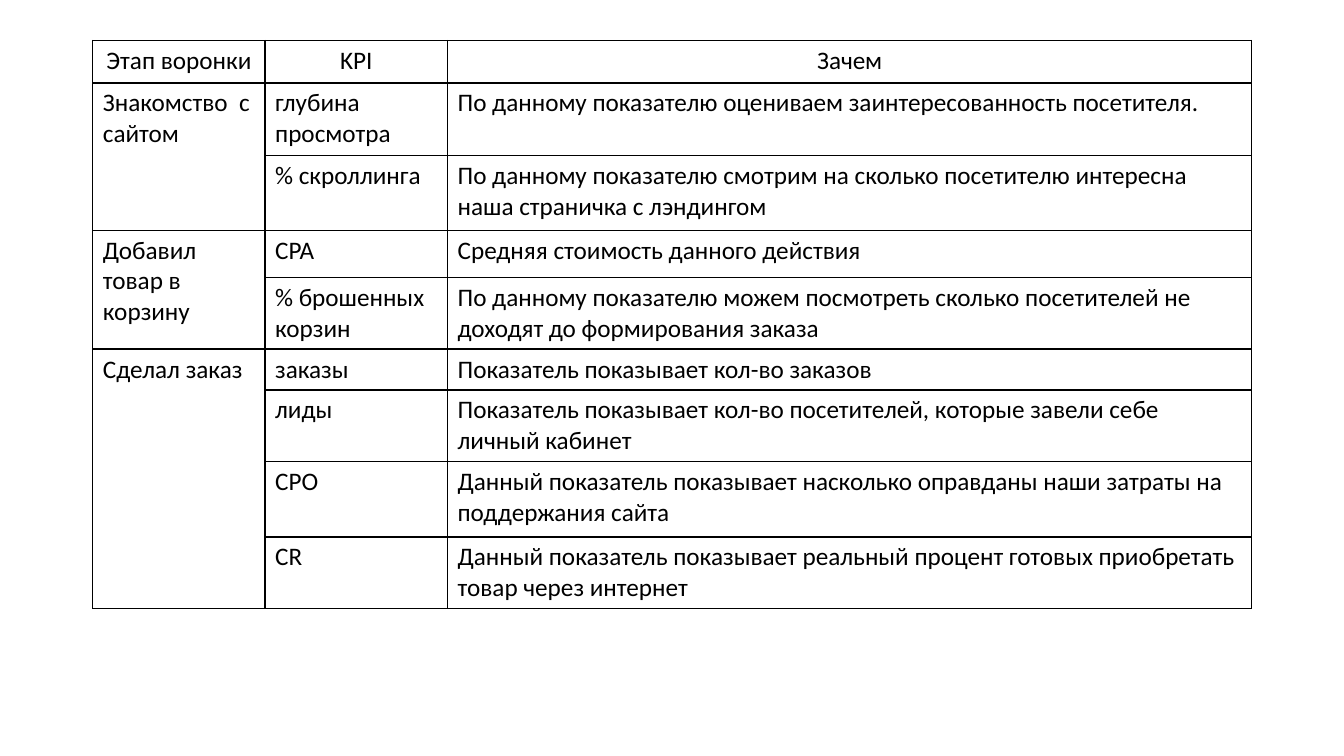
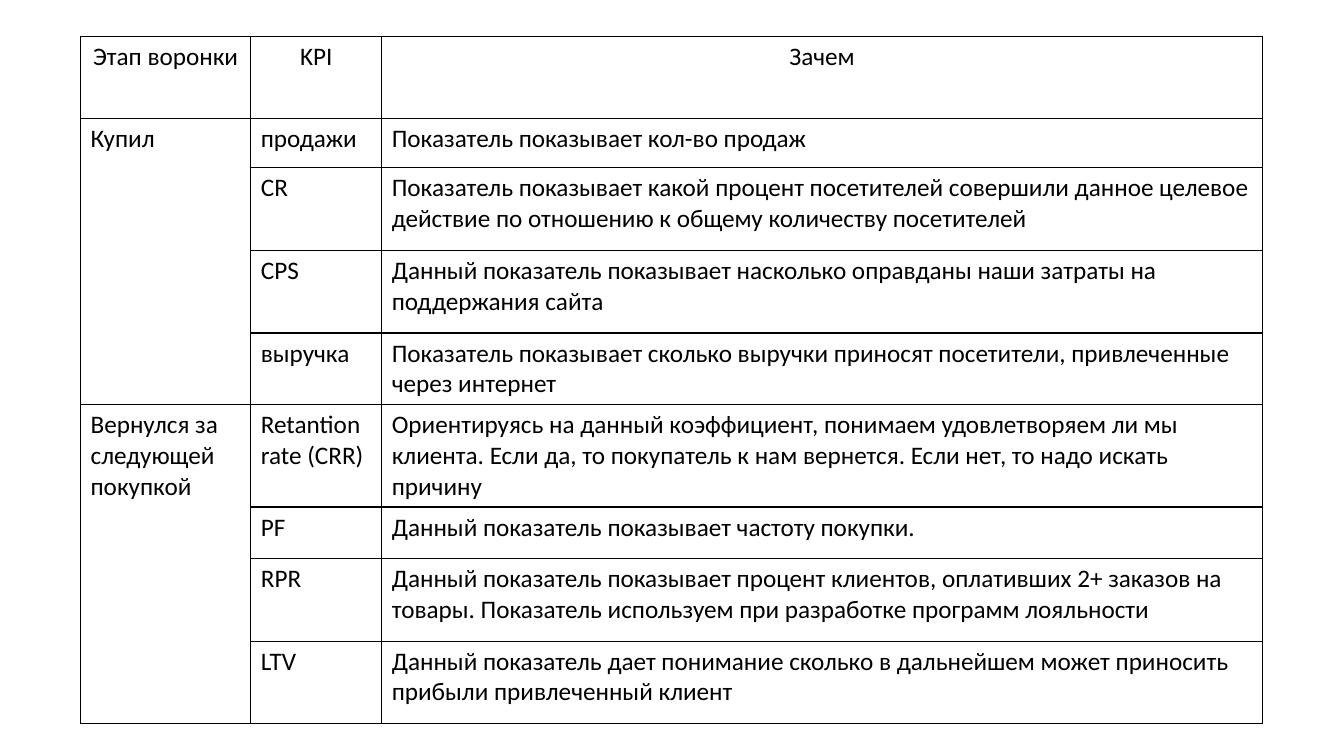
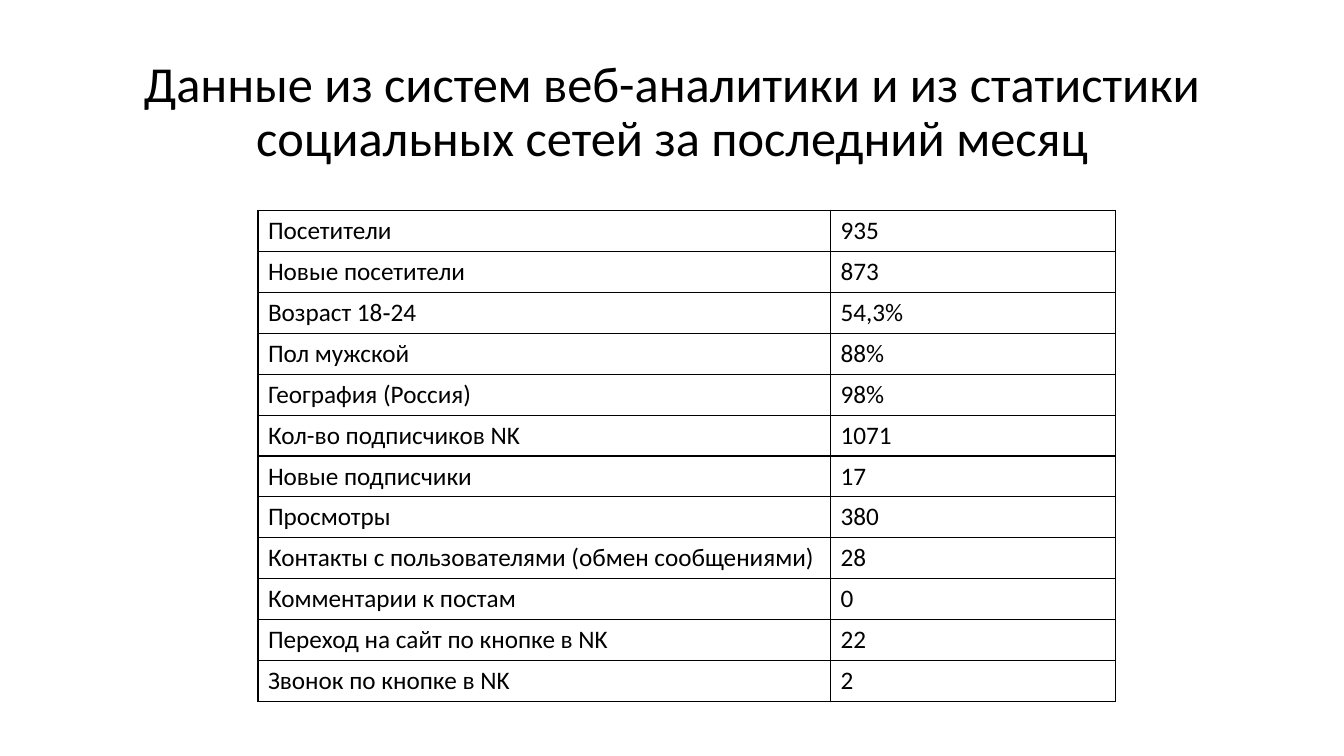
"""Build three slides with funnel KPI tables and monthly web statistics."""
from lxml import etree
from pptx import Presentation
from pptx.dml.color import RGBColor
from pptx.enum.text import MSO_ANCHOR, PP_ALIGN
from pptx.oxml.ns import qn
from pptx.util import Cm, Pt

CENTER, LEFT, MIDDLE = PP_ALIGN.CENTER, PP_ALIGN.LEFT, MSO_ANCHOR.MIDDLE
COLORS = {"text": "000000", "border": "000000"}
FONT = "Calibri"
TABLE_SIZE, TITLE_SIZE, BORDER_WIDTH = 18, 36, Pt(1)
BLANK_LAYOUT = 6

HEADER = ("Этап воронки", "KPI", "Зачем")
FUNNELS = [
    {
        "place": (2.34, 1.02),
        "columns": (4.34, 4.6, 20.27),
        "heights": (1.07, 1.83, 1.88, 1.19, 1.78, 0.99, 1.75, 1.9, 1.68),
        "stages": [
            ("Знакомство\u00a0 с сайтом", [
                ("глубина просмотра", "По данному показателю оцениваем заинтересованность посетителя."),
                ("% скроллинга", "По данному показателю смотрим на сколько посетителю интересна "
                                 "наша страничка с лэндингом"),
            ]),
            ("Добавил товар в корзину", [
                ("CPA", "Средняя стоимость данного действия"),
                ("% брошенных корзин", "По данному показателю можем посмотреть сколько посетителей "
                                       "не доходят до формирования заказа"),
            ]),
            ("Сделал заказ", [
                ("заказы", "Показатель показывает кол-во заказов"),
                ("лиды", "Показатель показывает кол-во посетителей, которые завели себе личный кабинет"),
                ("CPO", "Данный показатель показывает насколько оправданы наши затраты "
                        "на поддержания сайта"),
                ("CR", "Данный показатель показывает реальный процент готовых приобретать "
                       "товар через интернет"),
            ]),
        ],
    },
    {
        "place": (2.03, 0.91),
        "columns": (4.29, 3.3, 22.19),
        "heights": (2.08, 1.24, 2.08, 2.08, 1.7, 2.08, 1.3, 2.08, 2.08),
        "stages": [
            ("Купил", [
                ("продажи", "Показатель показывает кол-во продаж"),
                ("CR", "Показатель показывает какой процент посетителей совершили данное целевое "
                       "действие по отношению к общему количеству посетителей"),
                ("CPS", "Данный показатель показывает насколько оправданы наши затраты "
                        "на поддержания сайта"),
                ("выручка", "Показатель показывает сколько выручки приносят посетители, "
                            "привлеченные через интернет"),
            ]),
            ("Вернулся за следующей покупкой", [
                ("Retantion rate (CRR)", "Ориентируясь на данный коэффициент, понимаем удовлетворяем ли "
                                         "мы клиента. Если да, то покупатель к нам вернется. "
                                         "Если нет, то надо искать причину"),
                ("PF", "Данный показатель показывает частоту покупки."),
                ("RPR", "Данный показатель показывает процент клиентов, оплативших 2+ заказов "
                        "на товары. Показатель используем при разработке программ лояльности"),
                ("LTV", "Данный показатель дает понимание сколько в дальнейшем может приносить "
                        "прибыли привлеченный клиент"),
            ]),
        ],
    },
]

TITLE = "Данные из систем веб-аналитики и из статистики социальных сетей за последний месяц"
TITLE_BOX = (2.34, 1.02, 29.21, 3.68)
STATISTICS = [
    ("Посетители", "935"),
    ("Новые посетители", "873"),
    ("Возраст 18\u201124", "54,3%"),
    ("Пол мужской", "88%"),
    ("География (Россия)", "98%"),
    ("Кол-во подписчиков NK", "1071"),
    ("Новые подписчики", "17"),
    ("Просмотры", "380"),
    ("Контакты с пользователями (обмен сообщениями)", "28"),
    ("Комментарии к постам", "0"),
    ("Переход на сайт по кнопке в NK", "22"),
    ("Звонок по кнопке в NK", "2"),
]
STATISTICS_PLACE, STATISTICS_COLUMNS, STATISTICS_HEIGHT = (6.5, 5.31), (14.43, 7.19), 1.03


def write(frame, text, size, align):
    frame.text = text
    para = frame.paragraphs[0]
    para.alignment = align
    for span in para.runs:
        span.font.name = FONT
        span.font.size = Pt(size)
        span.font.color.rgb = RGBColor.from_string(COLORS["text"])
    return para


def outline(cell):
    properties = cell._tc.get_or_add_tcPr()
    for side in ("lnL", "lnR", "lnT", "lnB"):
        line = etree.SubElement(properties, qn(f"a:{side}"), w=str(BORDER_WIDTH))
        fill = etree.SubElement(line, qn("a:solidFill"))
        etree.SubElement(fill, qn("a:srgbClr"), val=COLORS["border"])


def add_grid(page, place, columns, heights, rows, has_header=False):
    left, top = place
    table = page.shapes.add_table(len(rows), len(columns), Cm(left), Cm(top),
                                  Cm(sum(columns)), Cm(sum(heights))).table
    table.first_row = table.horz_banding = False
    for column, width in zip(table.columns, columns):
        column.width = Cm(width)
    for index, (row, height, texts) in enumerate(zip(table.rows, heights, rows)):
        row.height = Cm(height)
        align = CENTER if has_header and index == 0 else LEFT
        for cell, text in zip(row.cells, texts):
            outline(cell)
            cell.fill.background()
            write(cell.text_frame, text, TABLE_SIZE, align)
    return table


def add_funnel(page, funnel):
    rows, spans = [HEADER], []
    for stage, measures in funnel["stages"]:
        first = len(rows)
        rows += [(stage if index == 0 else "", *measure) for index, measure in enumerate(measures)]
        spans.append((first, len(rows) - 1))
    table = add_grid(page, funnel["place"], funnel["columns"], funnel["heights"], rows, True)
    for first, last in spans:
        table.cell(first, 0).merge(table.cell(last, 0))


def add_title(page, text):
    frame = page.shapes.add_textbox(*map(Cm, TITLE_BOX)).text_frame
    frame.word_wrap = True
    frame.vertical_anchor = MIDDLE
    write(frame, text, TITLE_SIZE, CENTER).line_spacing = 0.9


def add_page(deck):
    return deck.slides.add_slide(deck.slide_layouts[BLANK_LAYOUT])


deck = Presentation()
deck.slide_width, deck.slide_height = Cm(33.87), Cm(19.05)
for funnel in FUNNELS:
    add_funnel(add_page(deck), funnel)
page = add_page(deck)
add_title(page, TITLE)
add_grid(page, STATISTICS_PLACE, STATISTICS_COLUMNS,
         [STATISTICS_HEIGHT] * len(STATISTICS), STATISTICS)
deck.save("out.pptx")
